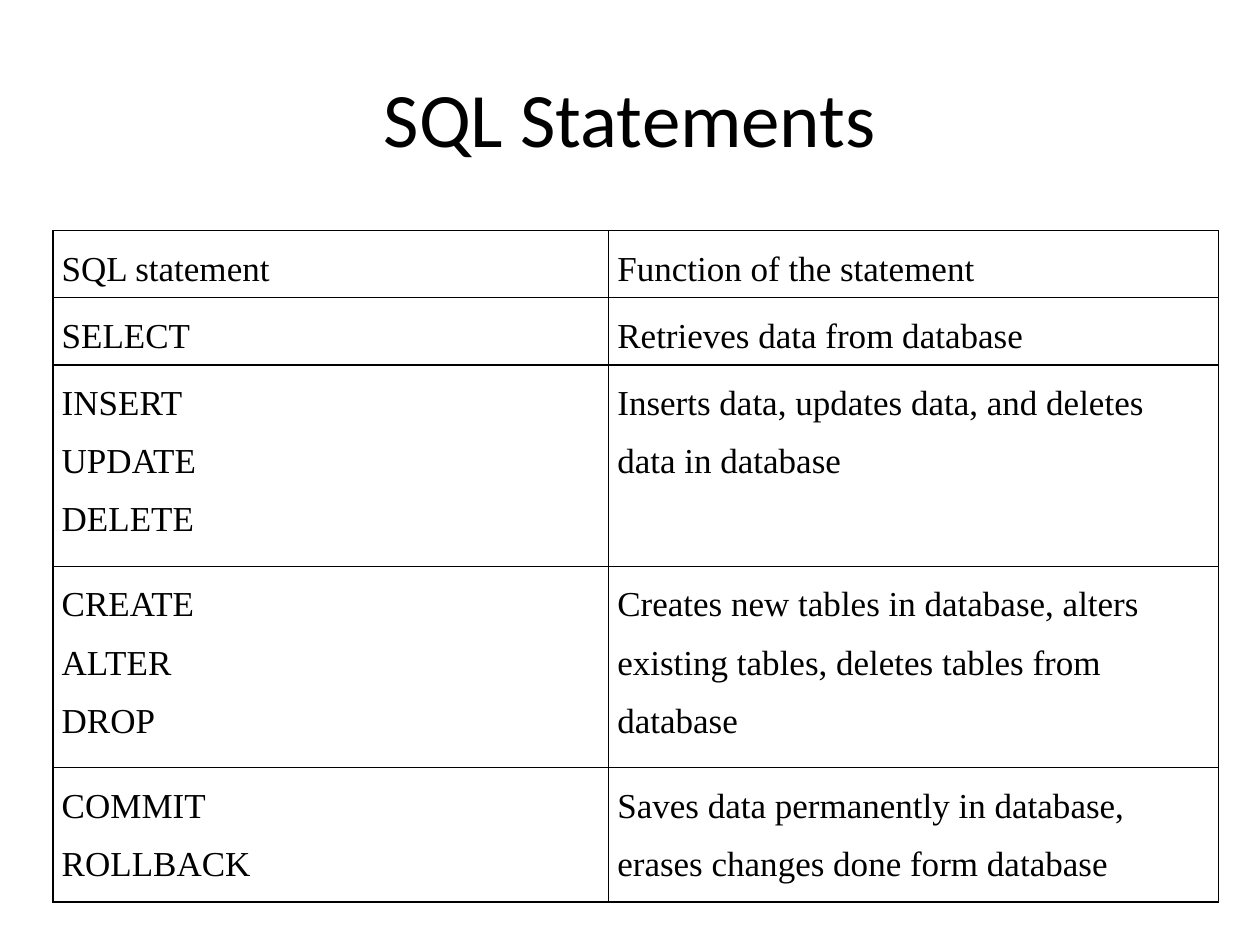
from lxml import etree
from pptx import Presentation
from pptx.dml.color import RGBColor
from pptx.enum.text import MSO_ANCHOR, PP_ALIGN
from pptx.oxml.ns import qn
from pptx.util import Inches, Pt

CENTER, MIDDLE = PP_ALIGN.CENTER, MSO_ANCHOR.MIDDLE
BLACK = RGBColor(0, 0, 0)
COLUMNS = (4.41, 4.84)
ROW_UNIT = 5.33 / 10
ROWS = [
    (1, "SQL statement", "Function of the statement"),
    (1, "SELECT", "Retrieves data from database"),
    (3, "INSERT\nUPDATE\nDELETE",
     "Inserts data, updates data, and deletes data in database"),
    (3, "CREATE\nALTER\nDROP",
     "Creates new tables in database, alters existing tables, "
     "deletes tables from database"),
    (2, "COMMIT\nROLLBACK",
     "Saves data permanently in database, erases changes done form database"),
]


def style(p, font, size):
    """Set the font of a paragraph."""
    p.font.name, p.font.size = font, Pt(size)
    p.font.color.rgb = BLACK


def add_title(s, text, left, top, width, height):
    """Place and format the title placeholder."""
    sp = s.shapes.title
    sp.left, sp.top, sp.width, sp.height = map(Inches, (left, top, width, height))
    tf = sp.text_frame
    tf.text = text
    tf.vertical_anchor = MIDDLE
    p = tf.paragraphs[0]
    p.alignment = CENTER
    style(p, "Calibri", 44)


def add_borders(cell):
    """Draw a thin black line on each side of a cell."""
    tc_pr = cell._tc.get_or_add_tcPr()
    for i, side in enumerate(("lnL", "lnR", "lnT", "lnB")):
        ln = etree.Element(qn("a:" + side), w=str(Pt(1)))
        fill = etree.SubElement(ln, qn("a:solidFill"))
        etree.SubElement(fill, qn("a:srgbClr"), val=str(BLACK))
        tc_pr.insert(i, ln)


def fill_cell(cell, text):
    """Write and format the text of a cell."""
    cell.fill.background()
    cell.margin_left = cell.margin_right = Inches(0.07)
    cell.margin_top = cell.margin_bottom = 0
    cell.text = text
    for p in cell.text_frame.paragraphs:
        p.line_spacing = 1.5
        style(p, "Times New Roman", 20)
    add_borders(cell)


def add_statement_table(s, left, top, width, height):
    """Add the table of statements and their functions."""
    table = s.shapes.add_table(
        len(ROWS), len(COLUMNS), *map(Inches, (left, top, width, height))).table
    table.first_row = table.horz_banding = False
    for column, share in zip(table.columns, COLUMNS):
        column.width = Inches(width * share / sum(COLUMNS))
    for row, (lines, *texts) in zip(table.rows, ROWS):
        row.height = Inches(lines * ROW_UNIT)
        for cell, text in zip(row.cells, texts):
            fill_cell(cell, text)


prs = Presentation()
prs.slide_width, prs.slide_height = Inches(10), Inches(7.5)
s = prs.slides.add_slide(prs.slide_layouts[5])
add_title(s, "SQL Statements", 0.5, 0.3, 9, 1.25)
add_statement_table(s, 0.42, 1.83, sum(COLUMNS), 10 * ROW_UNIT)
prs.save("out.pptx")
